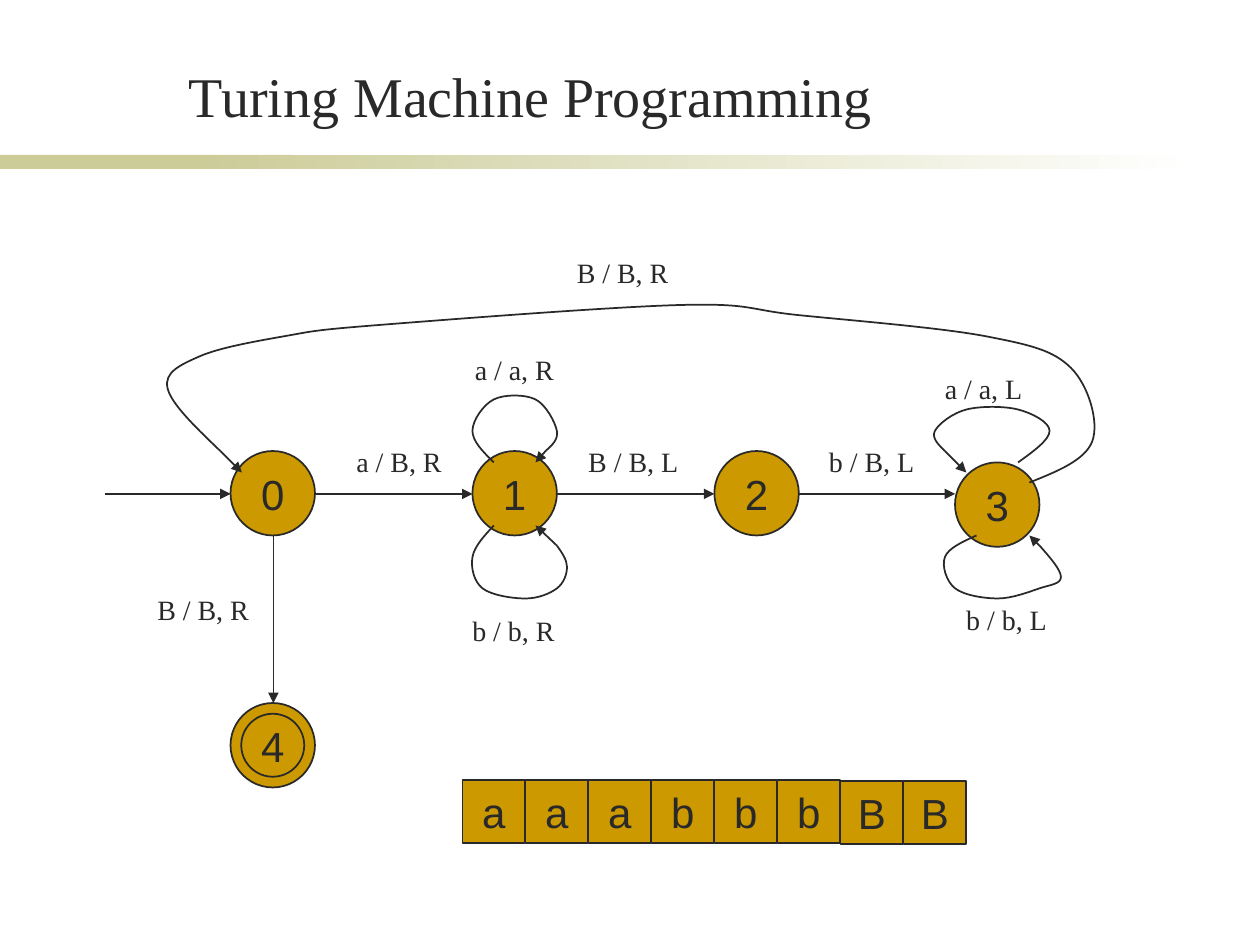
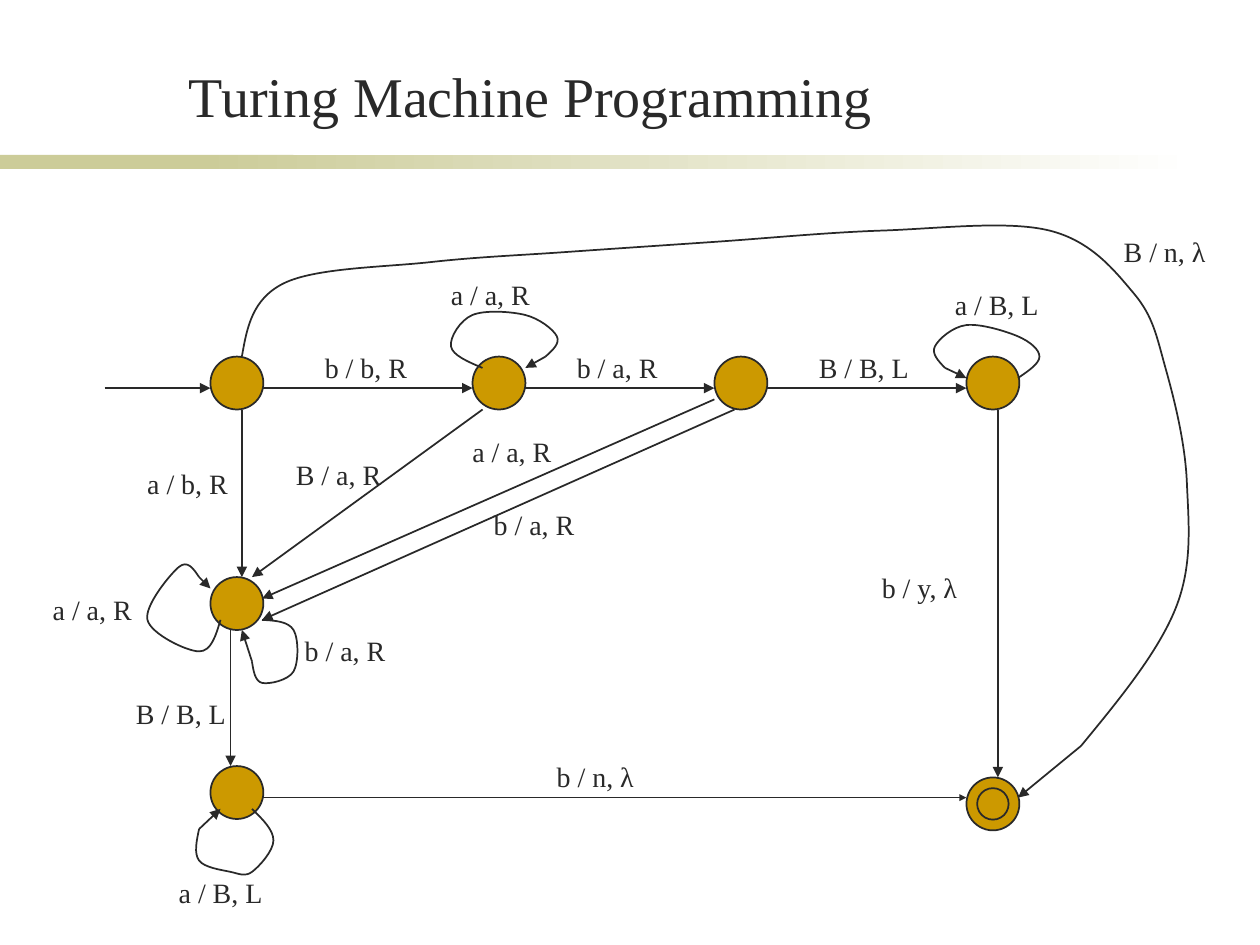
from lxml.etree import SubElement
from pptx import Presentation
from pptx.dml.color import RGBColor
from pptx.enum.shapes import MSO_CONNECTOR, MSO_SHAPE
from pptx.enum.text import MSO_ANCHOR, MSO_AUTO_SIZE, PP_ALIGN
from pptx.oxml.ns import qn
from pptx.util import Inches, Pt

COLORS = {"ink": "292929", "state": "CC9900", "band": "CCCC99", "paper": "FFFFFF"}
SERIF, SANS = "Times New Roman", "Arial"
TITLE = "Turing Machine Programming"
LABEL_WIDTHS = {
    "a / a, R": 0.83, "a / b, R": 0.84, "a / B, R": 0.88, "b / a, R": 0.84,
    "b / b, R": 0.86, "B / a, R": 0.88, "B / B, R": 0.93, "a / a, L": 0.82,
    "a / B, L": 0.87, "b / b, L": 0.84, "b / B, L": 0.88, "B / B, L": 0.92,
    "B / n, λ": 0.87, "b / y, λ": 0.83, "b / n, λ": 0.83,
}


def rgb(name):
    return RGBColor.from_string(COLORS[name])


def write(shape, text, size=24, font=SANS, align=PP_ALIGN.CENTER,
          anchor=MSO_ANCHOR.MIDDLE, wrap=False):
    frame = shape.text_frame
    frame.word_wrap = wrap
    frame.vertical_anchor = anchor
    paragraph = frame.paragraphs[0]
    paragraph.alignment = align
    run = paragraph.add_run()
    run.text = text
    run.font.size, run.font.name = Pt(size), font
    run.font.color.rgb = rgb("ink")


def spline(knots):
    """Yield two control points and the end point of each curve segment."""
    def tangent(index):
        before, after = knots[index - 1], knots[index + 1]
        return [(b - a) / 6 for a, b in zip(before, after)]

    def middle(first, second):
        return [(a + b) / 2 for a, b in zip(first, second)]

    last = len(knots) - 1
    for i in range(last):
        start, end = knots[i], knots[i + 1]
        leave = [p + t for p, t in zip(start, tangent(i))] if i else None
        arrive = [p - t for p, t in zip(end, tangent(i + 1))] if i + 1 < last else None
        leave = leave or middle(start, arrive)
        arrive = arrive or middle(leave, end)
        yield leave, arrive, end


class Diagram:
    """Draws a state diagram on the current slide."""

    def __init__(self):
        self.presentation = Presentation()
        self.presentation.slide_width = Inches(10)
        self.presentation.slide_height = Inches(7.5)
        self.slide = None

    def new_slide(self, title):
        layout = self.presentation.slide_layouts[6]
        self.slide = self.presentation.slides.add_slide(layout)
        self.box(MSO_SHAPE.RECTANGLE, 0, 1.23, 2.33, 0.11, "band", outlined=False)
        fade = self.box(MSO_SHAPE.RECTANGLE, 1.58, 1.23, 7.92, 0.11, "band", outlined=False)
        fade.fill.gradient()
        fade.fill.gradient_angle = 0
        for stop, position, name in zip(fade.fill.gradient_stops, (0, 1), ("band", "paper")):
            stop.position = position
            stop.color.rgb = rgb(name)
        heading = self.textbox(1.14, 0.44, 6.14, 0.63)
        write(heading, title, size=32, font=SERIF, anchor=MSO_ANCHOR.BOTTOM, wrap=True)

    def textbox(self, left, top, width, height):
        return self.slide.shapes.add_textbox(
            Inches(left), Inches(top), Inches(width), Inches(height))

    def outline(self, shape):
        shape.line.color.rgb = rgb("ink")
        shape.line.width = Pt(1)

    def box(self, preset, left, top, width, height, color="state", outlined=True):
        shape = self.slide.shapes.add_shape(
            preset, Inches(left), Inches(top), Inches(width), Inches(height))
        shape.shadow.inherit = False
        shape.fill.solid()
        shape.fill.fore_color.rgb = rgb(color)
        if outlined:
            self.outline(shape)
        else:
            shape.line.fill.background()
        return shape

    def state(self, left, top, size, name=None, ring=None):
        """Draw a state; ring is the size of the inner circle of a final state."""
        shape = self.box(MSO_SHAPE.OVAL, left, top, size, size)
        if ring:
            gap = (size - ring) / 2
            shape = self.box(MSO_SHAPE.OVAL, left + gap, top + gap, ring, ring)
        if name:
            write(shape, name)

    def tape(self, left, symbols, size=0.5):
        for index, symbol in enumerate(symbols):
            top = 6.2 if symbol == "B" else 6.19
            write(self.box(MSO_SHAPE.RECTANGLE, left + index * size, top, size, size), symbol)

    def label(self, text, left, top):
        shape = self.textbox(left, top, LABEL_WIDTHS[text], 0.37)
        write(shape, text, size=16, font=SERIF, align=PP_ALIGN.LEFT, anchor=MSO_ANCHOR.TOP)
        shape.text_frame.auto_size = MSO_AUTO_SIZE.SHAPE_TO_FIT_TEXT

    def arrow(self, start, end, head="med"):
        connector = self.slide.shapes.add_connector(
            MSO_CONNECTOR.STRAIGHT, *map(Inches, start + end))
        self.outline(connector)
        SubElement(connector.line._get_or_add_ln(), qn("a:tailEnd"),
                   type="triangle", w=head, len=head)
        SubElement(connector._element.spPr, qn("a:effectLst"))

    def curve(self, knots, tip):
        """Draw a smooth line through the knots, then an arrow to the tip."""
        points = [tuple(map(Inches, knot)) for knot in knots]
        builder = self.slide.shapes.build_freeform(*points[0])
        builder.add_line_segments(points[1:], close=False)
        shape = builder.convert_to_shape()
        shape.shadow.inherit = False
        shape.fill.background()
        self.outline(shape)
        outline_path = shape._element.find(".//" + qn("a:path"))
        for segment in outline_path.findall(qn("a:lnTo")):
            outline_path.remove(segment)
        for segment in spline(points):
            bezier = SubElement(outline_path, qn("a:cubicBezTo"))
            for x, y in segment:
                SubElement(bezier, qn("a:pt"), x=str(round(x - shape.left)),
                           y=str(round(y - shape.top)))
        self.arrow(knots[-1], tip)


def erasing_machine(diagram):
    diagram.new_slide(TITLE)
    size = 0.67
    for name, left, top in [("0", 1.83, 3.58), ("2", 5.67, 3.58),
                            ("1", 3.75, 3.58), ("3", 7.58, 3.67)]:
        diagram.state(left, top, size, name)
    diagram.state(1.83, 5.58, size, "4", ring=0.5)

    diagram.arrow((2.17, 4.25), (2.17, 5.58))
    for start, end in [(2.5, 3.75), (4.42, 5.67), (6.33, 7.58), (0.83, 1.83)]:
        diagram.arrow((start, 3.92), (end, 3.92))

    back_to_start = [(8.17, 3.83), (8.67, 3.5), (8.5, 2.92), (7.83, 2.67), (6.33, 2.5),
                     (5.42, 2.42), (3, 2.58), (2.25, 2.67), (1.58, 2.83), (1.33, 3.08),
                     (1.75, 3.58)]
    diagram.curve(back_to_start, (1.92, 3.75))
    diagram.curve([(3.92, 3.67), (3.75, 3.42), (3.92, 3.17), (4.25, 3.17), (4.42, 3.42),
                   (4.33, 3.58)], (4.25, 3.67))
    diagram.curve([(3.92, 4.17), (3.75, 4.42), (3.83, 4.67), (4.17, 4.75), (4.42, 4.67),
                   (4.5, 4.5), (4.42, 4.33)], (4.25, 4.17))
    diagram.curve([(8.08, 3.67), (8.33, 3.42), (8.08, 3.25), (7.67, 3.25), (7.42, 3.42),
                   (7.5, 3.58)], (7.67, 3.75))
    diagram.curve([(7.75, 4.25), (7.5, 4.42), (7.58, 4.67), (7.92, 4.75), (8.25, 4.67),
                   (8.42, 4.58), (8.25, 4.33)], (8.17, 4.25))

    for text, left, top in [
        ("a / B, R", 2.73, 3.48), ("B / B, L", 4.57, 3.48), ("b / B, L", 6.48, 3.48),
        ("B / B, R", 4.48, 1.98), ("B / B, R", 1.15, 4.65), ("a / a, R", 3.67, 2.75),
        ("b / b, R", 3.65, 4.82), ("b / b, L", 7.57, 4.73), ("a / a, L", 7.4, 2.9),
    ]:
        diagram.label(text, left, top)
    diagram.tape(3.67, "aaabbbBB")


def deciding_machine(diagram):
    diagram.new_slide(TITLE)
    size = 0.42
    for left, top in [(1.67, 2.83), (5.67, 2.83), (3.75, 2.83), (7.67, 2.83),
                      (1.67, 6.08), (1.67, 4.58)]:
        diagram.state(left, top, size)
    diagram.state(7.67, 6.17, size, ring=0.25)

    for start, end in [(0.83, 1.67), (2.08, 3.75), (4.17, 5.67), (6.08, 7.67)]:
        diagram.arrow((start, 3.08), (end, 3.08))
    for x, start, end in [(1.92, 3.25, 4.58), (1.83, 5, 6.08), (7.92, 3.25, 6.17)]:
        diagram.arrow((x, start), (x, end))
    diagram.arrow((2.08, 6.33), (7.67, 6.33), head="sm")
    diagram.arrow((3.83, 3.25), (2, 4.58))
    diagram.arrow((5.67, 3.17), (2.08, 4.75))
    diagram.arrow((5.83, 3.25), (2.08, 4.92))

    diagram.curve([(2.08, 4.92), (2.33, 5), (2.33, 5.33), (2.08, 5.42), (2, 5.25)],
                  (1.92, 5))
    diagram.curve([(1.75, 4.92), (1.58, 5.17), (1.17, 4.92), (1.42, 4.5), (1.58, 4.58)],
                  (1.67, 4.67))
    diagram.curve([(2, 6.42), (2.17, 6.67), (2, 6.92), (1.83, 6.92), (1.58, 6.83),
                   (1.58, 6.58)], (1.75, 6.42))
    diagram.curve([(3.83, 2.92), (3.58, 2.75), (3.75, 2.5), (4.17, 2.5), (4.42, 2.67),
                   (4.33, 2.83)], (4.17, 2.92))
    diagram.curve([(8.08, 3), (8.25, 2.83), (8.08, 2.67), (7.67, 2.58), (7.42, 2.75),
                   (7.5, 2.92)], (7.67, 3))
    around_to_final = [(1.92, 2.83), (2.25, 2.25), (3.42, 2.08), (4.5, 2), (5.67, 1.92),
                       (7, 1.83), (8.33, 1.83), (9, 2.33), (9.25, 2.92), (9.42, 3.83),
                       (9.33, 4.83), (8.58, 5.92)]
    diagram.curve(around_to_final, (8.08, 6.33))

    for text, left, top in [
        ("B / n, λ", 8.82, 1.81), ("a / B, L", 7.48, 2.23), ("a / a, R", 3.48, 2.15),
        ("b / a, R", 4.48, 2.73), ("B / B, L", 6.4, 2.73), ("b / y, λ", 6.9, 4.48),
        ("b / n, λ", 4.32, 5.98), ("B / B, L", 0.98, 5.48), ("b / a, R", 2.32, 4.98),
        ("b / a, R", 3.82, 3.98), ("a / a, R", 3.65, 3.4), ("B / a, R", 2.25, 3.58),
        ("a / b, R", 1.07, 3.65), ("a / a, R", 0.32, 4.65), ("a / B, L", 1.32, 6.9),
        ("b / b, R", 2.48, 2.73),
    ]:
        diagram.label(text, left, top)


def main():
    diagram = Diagram()
    erasing_machine(diagram)
    deciding_machine(diagram)
    diagram.presentation.save("out.pptx")


if __name__ == "__main__":
    main()
